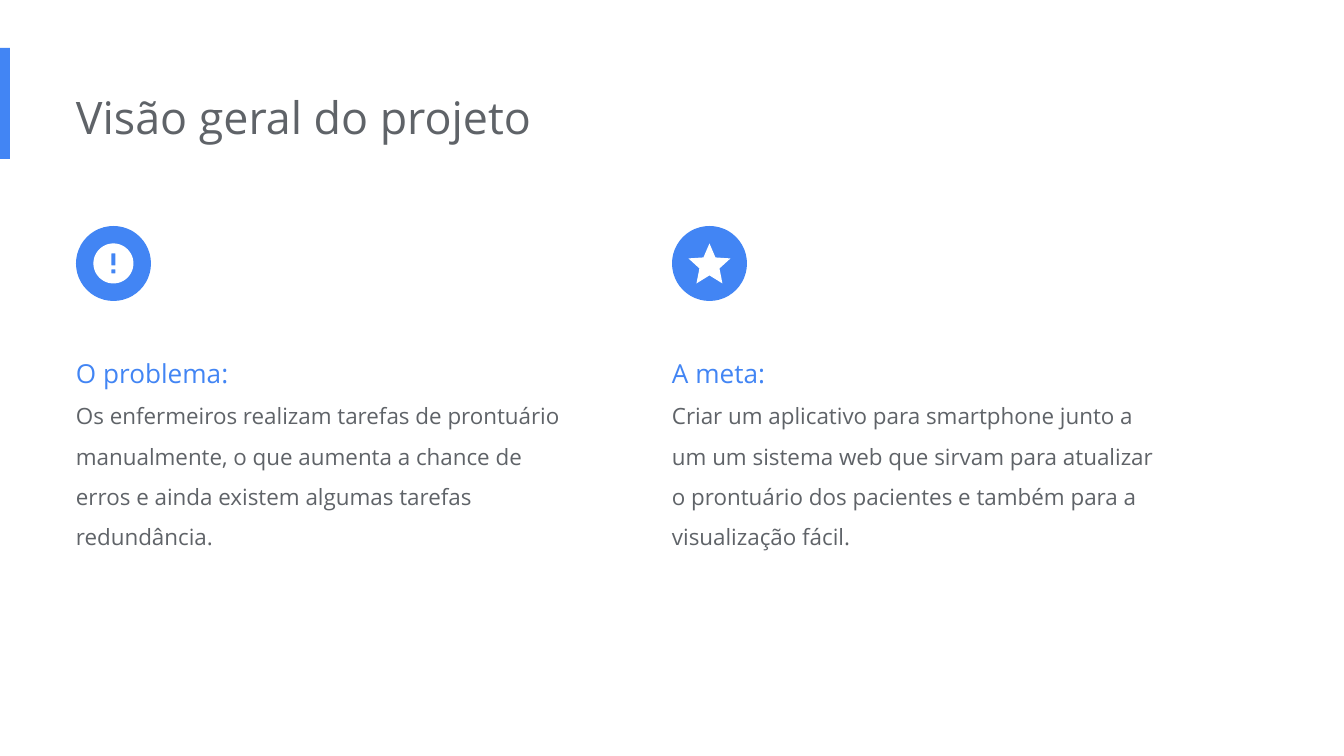
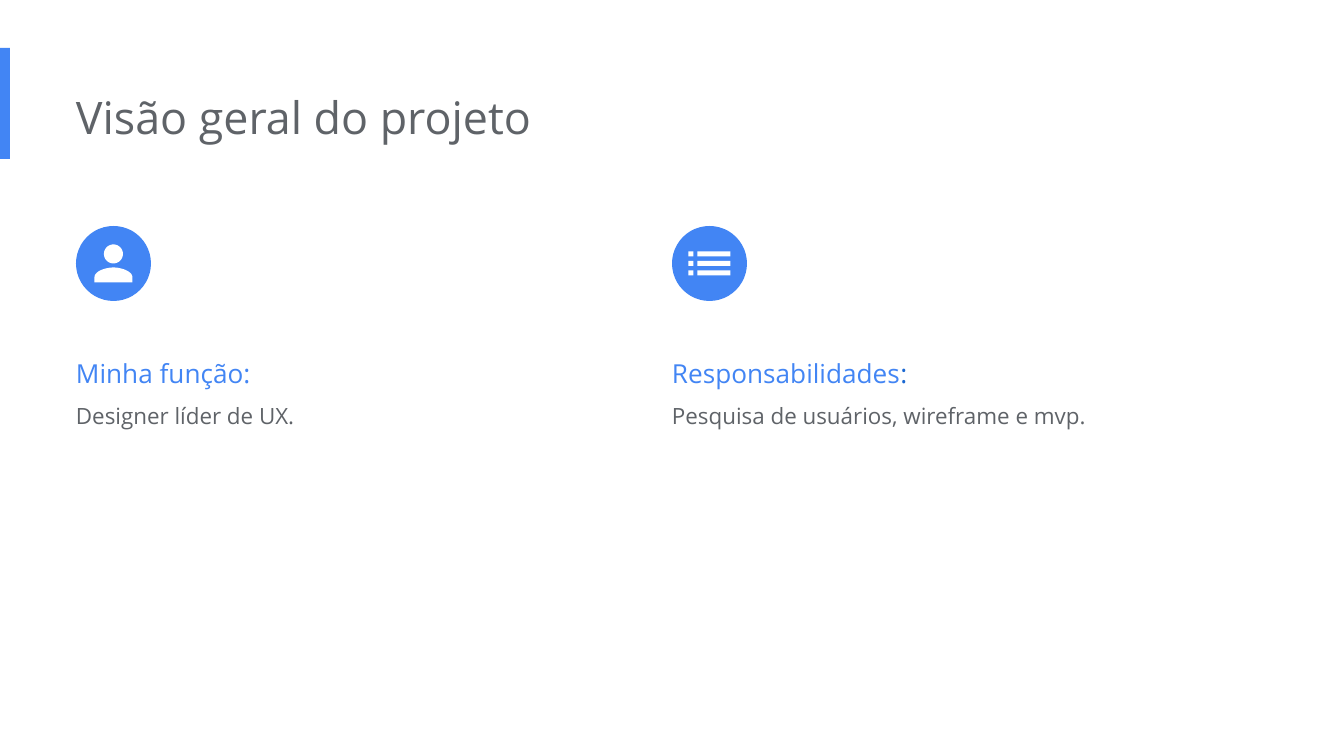
import math
from dataclasses import dataclass

from pptx import Presentation
from pptx import util as u
from pptx.dml.color import RGBColor
from pptx.enum import shapes, text

SLIDE_WIDTH, SLIDE_HEIGHT = 1344, 756
EMU_PER_PIXEL = u.Inches(10) / SLIDE_WIDTH
FONT = "Open Sans"
BLUE, DARK_BLUE, GRAY, WHITE = "4285F4", "1967D2", "5F6368", "FFFFFF"

TITLE = "Visão geral do projeto"
COLUMN_LEFTS = (76, 672)
COLUMN_TOP, COLUMN_WIDTH = 329, 507
BADGE_TOP, BADGE_SIZE = 226, 75
INSET = 13

Point = tuple[float, float]
Contour = list[Point]


@dataclass(frozen=True)
class Column:
    heading: str
    body: str
    icon: list[Contour]
    colon_color: str = BLUE


@dataclass(frozen=True)
class Page:
    column_height: int
    columns: tuple[Column, Column]


def px(length: float) -> u.Emu:
    return u.Emu(round(length * EMU_PER_PIXEL))


def rgb(color: str) -> RGBColor:
    return RGBColor.from_string(color)


def rectangle(left: float, top: float, width: float, height: float) -> Contour:
    right, bottom = left + width, top + height
    return [(left, top), (right, top), (right, bottom), (left, bottom)]


def circle(center_y: float, radius: float, steps: int = 72) -> Contour:
    angles = [math.tau * step / steps for step in range(steps)]
    return [(radius * math.cos(a), center_y + radius * math.sin(a)) for a in angles]


def curve(start: Point, first: Point, second: Point, end: Point, steps: int = 16) -> Contour:
    points = []
    for step in range(steps + 1):
        t = step / steps
        weights = ((1 - t) ** 3, 3 * t * (1 - t) ** 2, 3 * t**2 * (1 - t), t**3)
        controls = (start, first, second, end)
        points.append((
            sum(w * x for w, (x, _) in zip(weights, controls)),
            sum(w * y for w, (_, y) in zip(weights, controls)),
        ))
    return points


def mirrored(half: Contour) -> Contour:
    return half + [(-x, y) for x, y in reversed(half) if x]


def alert_icon() -> list[Contour]:
    return [circle(0, 20), rectangle(-2, -10, 4, 12), rectangle(-2, 6, 4, 4)]


def star_icon() -> list[Contour]:
    return [mirrored([(0, -20), (6, -6), (21, -5), (10, 5), (13, 20), (0, 12)])]


def person_icon() -> list[Contour]:
    shoulder = curve((0, 4), (6, 4), (19, 7), (19, 14))
    return [circle(-9.5, 9.5), mirrored(shoulder + [(19, 19)])]


def list_icon() -> list[Contour]:
    row_tops = [-12 + 9.5 * row for row in range(3)]
    return [
        rectangle(left, top, width, 5)
        for top in row_tops
        for left, width in ((-21, 5), (-12, 33))
    ]


def paint(shape, color: str) -> None:
    shape.shadow.inherit = False
    shape.fill.solid()
    shape.fill.fore_color.rgb = rgb(color)
    shape.line.fill.background()


def add_preset(slide, kind, left: int, top: int, width: int, height: int, color: str) -> None:
    paint(slide.shapes.add_shape(kind, px(left), px(top), px(width), px(height)), color)


def add_icon(slide, center_x: float, center_y: float, contours: list[Contour]) -> None:
    placed = [
        [(px(center_x + x), px(center_y + y)) for x, y in contour]
        for contour in contours
    ]
    builder = slide.shapes.build_freeform(*placed[0][0], scale=1.0)
    for index, contour in enumerate(placed):
        if index:
            builder.move_to(*contour[0])
        builder.add_line_segments(contour[1:], close=True)
    paint(builder.convert_to_shape(), WHITE)


def add_text_frame(slide, left: int, top: int, width: int, height: int):
    box = slide.shapes.add_textbox(px(left), px(top), px(width), px(height))
    frame = box.text_frame
    frame.word_wrap = True
    frame.auto_size = text.MSO_AUTO_SIZE.SHAPE_TO_FIT_TEXT
    frame.margin_left = 0
    frame.margin_top = frame.margin_right = frame.margin_bottom = px(INSET)
    return frame


def write_text(paragraph, content: str, *, size: int, color: str, spacing: float = 1.0) -> None:
    paragraph.line_spacing = spacing
    run = paragraph.add_run()
    run.text = content
    run.font.name = FONT
    run.font.size = u.Pt(size)
    run.font.color.rgb = rgb(color)


def add_column(slide, left: int, height: int, column: Column) -> None:
    frame = add_text_frame(slide, left, COLUMN_TOP, COLUMN_WIDTH, height)
    heading = frame.paragraphs[0]
    write_text(heading, column.heading, size=14, color=BLUE, spacing=1.5)
    write_text(heading, ": ", size=14, color=column.colon_color, spacing=1.5)
    write_text(frame.add_paragraph(), column.body, size=12, color=GRAY, spacing=1.5)
    add_preset(slide, shapes.MSO_SHAPE.OVAL, left, BADGE_TOP, BADGE_SIZE, BADGE_SIZE, BLUE)
    add_icon(slide, left + BADGE_SIZE / 2, BADGE_TOP + BADGE_SIZE / 2, column.icon)


def add_page(presentation, page: Page) -> None:
    slide = presentation.slides.add_slide(presentation.slide_layouts[6])
    slide.background.fill.solid()
    slide.background.fill.fore_color.rgb = rgb(WHITE)
    add_preset(slide, shapes.MSO_SHAPE.RECTANGLE, 0, 48, 10, 111, BLUE)
    title = add_text_frame(slide, COLUMN_LEFTS[0], 77, 905, 81)
    write_text(title.paragraphs[0], TITLE, size=24, color=GRAY)
    for left, column in zip(COLUMN_LEFTS, page.columns):
        add_column(slide, left, page.column_height, column)


PAGES = (
    Page(235, (
        Column(
            "O problema",
            "Os enfermeiros realizam tarefas de prontuário manualmente, o que aumenta "
            "a chance de erros e ainda existem algumas tarefas redundância.",
            alert_icon(),
        ),
        Column(
            "A meta",
            "Criar um aplicativo para smartphone junto a um um sistema web que sirvam "
            "para atualizar o prontuário dos pacientes e também para a visualização fácil.",
            star_icon(),
        ),
    )),
    Page(114, (
        Column("Minha função", "Designer líder de UX. ", person_icon()),
        Column(
            "Responsabilidades",
            "Pesquisa de usuários, wireframe e mvp.",
            list_icon(),
            colon_color=DARK_BLUE,
        ),
    )),
)


def main() -> None:
    presentation = Presentation()
    presentation.slide_width = px(SLIDE_WIDTH)
    presentation.slide_height = px(SLIDE_HEIGHT)
    for page in PAGES:
        add_page(presentation, page)
    presentation.save("out.pptx")


main()
